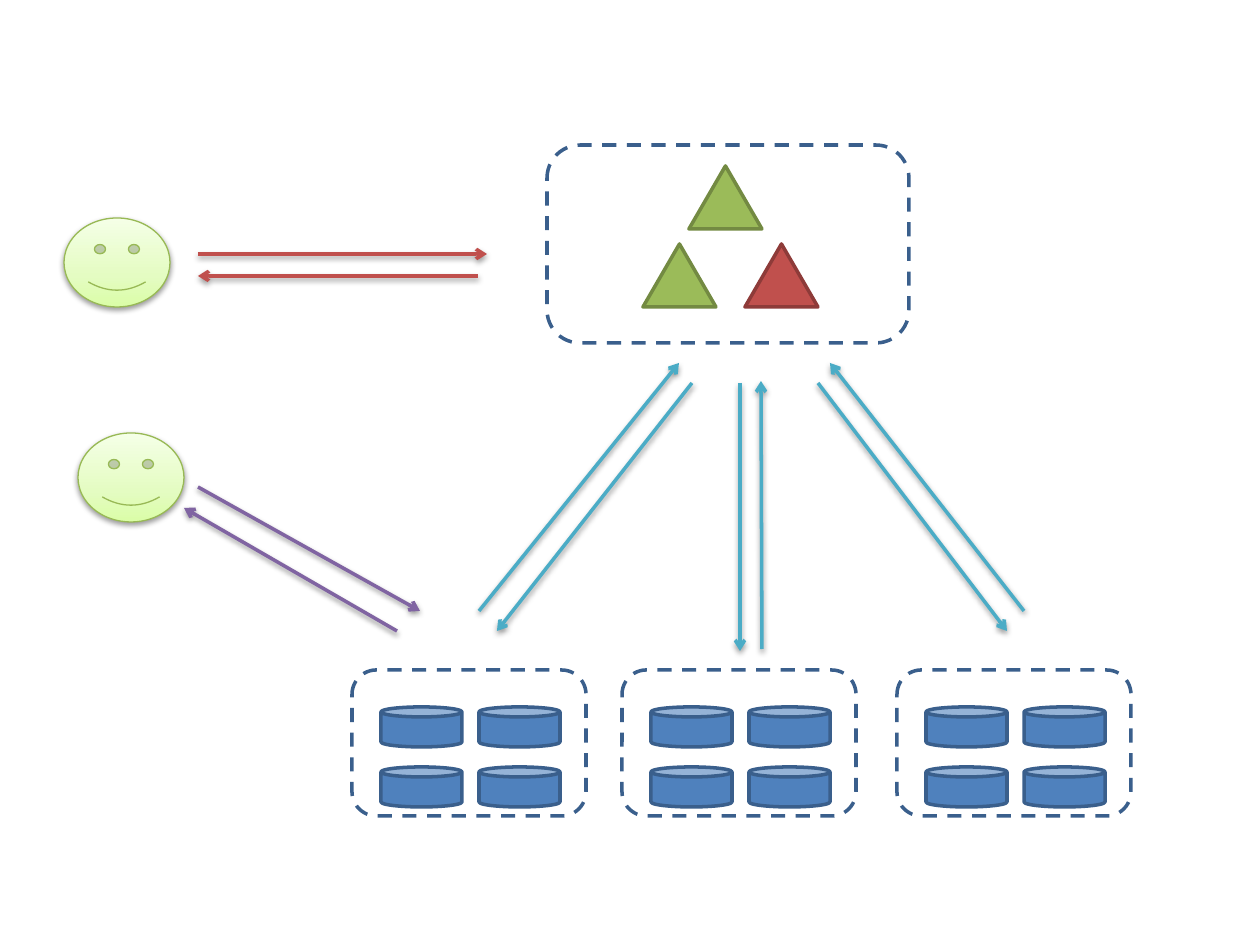
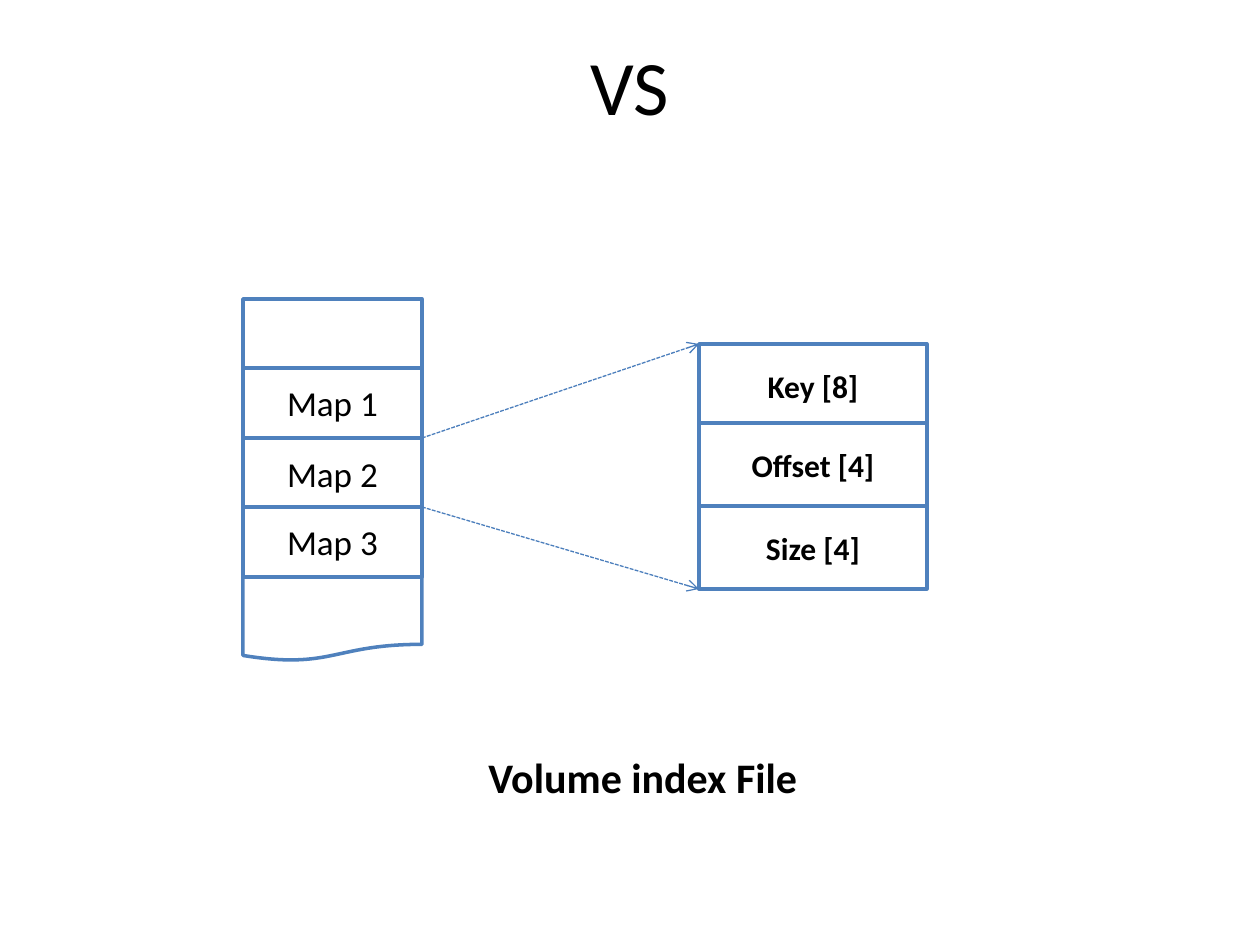
from copy import deepcopy

from lxml import etree
from pptx import Presentation
from pptx.dml.color import RGBColor
from pptx.enum.dml import MSO_LINE
from pptx.enum.shapes import MSO_CONNECTOR, MSO_SHAPE
from pptx.enum.text import MSO_ANCHOR, MSO_AUTO_SIZE, PP_ALIGN
from pptx.oxml.ns import qn
from pptx.util import Emu, Inches, Pt

SCALE = 914400 / 126

TRIANGLE = MSO_SHAPE.ISOSCELES_TRIANGLE
ROUNDED = MSO_SHAPE.ROUNDED_RECTANGLE
RECTANGLE = MSO_SHAPE.RECTANGLE
DOCUMENT = MSO_SHAPE.FLOWCHART_DOCUMENT
CAN = MSO_SHAPE.CAN
SMILEY = MSO_SHAPE.SMILEY_FACE
STRAIGHT = MSO_CONNECTOR.STRAIGHT
DASH = MSO_LINE.DASH
SHORT_DASH = MSO_LINE.SQUARE_DOT
MIDDLE = MSO_ANCHOR.MIDDLE
TOP = MSO_ANCHOR.TOP
CENTER = PP_ALIGN.CENTER
LEFT = PP_ALIGN.LEFT
GROW = MSO_AUTO_SIZE.SHAPE_TO_FIT_TEXT

COLORS = {
    "black": "000000",
    "white": "FFFFFF",
    "blue": "4F81BD",
    "dark blue": "3A5F8C",
    "link blue": "4B7EBC",
    "green": "9BBB59",
    "dark green": "738A42",
    "face green": "98B955",
    "red": "C0504D",
    "dark red": "8E3B39",
    "purple": "8064A2",
    "teal": "4BACC6",
    "face low": "DAFDA7",
    "face middle": "E4FCC2",
    "face high": "F5FFE7",
}
FACE_STOPS = [(0, "face low"), (0.35, "face middle"), (1, "face high")]

FONTS = {
    "title": {"name": "Calibri", "size": Pt(44), "bold": False},
    "caption": {"name": "Calibri", "size": Pt(24), "bold": True},
    "map": {"name": "Calibri", "size": Pt(20), "bold": False},
    "field": {"name": "Calibri", "size": Pt(18), "bold": True},
}


def px(length):
    """Turn pixels into EMU."""
    return Emu(round(length * SCALE))


def rgb(name):
    """Look up a named colour."""
    return RGBColor.from_string(COLORS[name])


class Deck:
    """Holds the presentation, the current slide and the drawing style."""

    def __init__(self):
        """Start an empty 10 by 7.5 inch presentation."""
        self.presentation = Presentation()
        self.presentation.slide_width = Inches(10)
        self.presentation.slide_height = Inches(7.5)
        self.slide = None

    def add_slide(self):
        """Add a blank slide and make it current."""
        self.slide = self.presentation.slides.add_slide(
            self.presentation.slide_layouts[6])

    def outline(self, shape, color, width=2, dash=None):
        """Set line colour, width and dash."""
        shape.line.color.rgb = rgb(color)
        for name, value in {"width": Pt(width), "dash_style": dash}.items():
            setattr(shape.line, name, value)

    def effects(self, shape, shadow):
        """Replace the theme effects by a soft shadow or by none."""
        effects = etree.SubElement(shape.element.spPr, qn("a:effectLst"))
        if shadow:
            outer = etree.SubElement(
                effects, qn("a:outerShdw"), blurRad="40000", dist="20000",
                dir="5400000", rotWithShape="0")
            color = etree.SubElement(outer, qn("a:srgbClr"), val=COLORS["black"])
            etree.SubElement(color, qn("a:alpha"), val="38000")

    def add_text(self, shape, text, style, align=CENTER, anchor=MIDDLE,
                 wrap=True):
        """Put one paragraph in a named text style into a shape."""
        frame = shape.text_frame
        frame.word_wrap = wrap
        frame.vertical_anchor = anchor
        paragraph = frame.paragraphs[0]
        paragraph.alignment = align
        run = paragraph.add_run()
        run.text = text
        run.font.color.rgb = rgb("black")
        for name, value in FONTS[style].items():
            setattr(run.font, name, value)

    def shape(self, kind, box, fill, line, width=2, dash=None, shadow=False):
        """Draw a preset shape; no fill colour leaves it open."""
        shape = self.slide.shapes.add_shape(kind, *map(px, box))
        if fill:
            shape.fill.solid()
            shape.fill.fore_color.rgb = rgb(fill)
        else:
            shape.fill.background()
        self.outline(shape, line, width, dash)
        self.effects(shape, shadow)
        return shape

    def face(self, left, top):
        """Draw a user as a shaded smiley."""
        face = self.shape(SMILEY, (left, top, 106, 89), None, "face green",
                          0.75, shadow=True)
        face.fill.gradient()
        face.fill.gradient_angle = 90
        stops = face.element.spPr.find(".//" + qn("a:gsLst"))
        stops.insert(1, deepcopy(stops[0]))
        for stop, (position, color) in zip(face.fill.gradient_stops, FACE_STOPS):
            stop.position = position
            stop.color.rgb = rgb(color)

    def arrow(self, start, end, color, width=2, dash=None, shadow=True):
        """Draw a straight arrow pointing at its end."""
        arrow = self.slide.shapes.add_connector(
            STRAIGHT, *map(px, (*start, *end)))
        self.outline(arrow, color, width, dash)
        line = arrow.element.spPr.find(qn("a:ln"))
        etree.SubElement(line, qn("a:tailEnd"), type="arrow")
        self.effects(arrow, shadow)

    def cell(self, box, text, style, kind=RECTANGLE):
        """Draw a white block of a record, with text if there is any."""
        cell = self.shape(kind, box, "white", "blue")
        if text:
            self.add_text(cell, text, style)

    def label(self, box, text, style, **layout):
        """Add a text box."""
        label = self.slide.shapes.add_textbox(*map(px, box))
        self.add_text(label, text, style, **layout)
        return label

    def cluster(self, left, top):
        """Draw a dashed group of two by two stores."""
        self.shape(ROUNDED, (left, top, 234, 146), None, "dark blue", dash=DASH)
        for row in range(2):
            for column in range(2):
                box = (left + 29 + 98 * column, top + 37 + 60 * row, 81, 40)
                self.shape(CAN, box, "blue", "dark blue")


def architecture_slide(deck):
    """Users, directory nodes and storage clusters."""
    deck.add_slide()
    for left, top, color in [(643, 244, "green"), (745, 244, "red"),
                             (689, 166, "green")]:
        deck.shape(TRIANGLE, (left, top, 73, 63), color, "dark " + color)
    deck.shape(ROUNDED, (547, 145, 362, 198), None, "dark blue", dash=DASH)
    for left in (352, 622, 897):
        deck.cluster(left, 670)
    deck.face(64, 218)
    deck.face(78, 433)
    arrows = {
        "red": [((198, 254), (487, 254)), ((478, 276), (198, 276))],
        "purple": [((198, 487), (420, 611)), ((397, 631), (184, 508))],
        "teal": [
            ((692, 383), (497, 631)), ((479, 611), (679, 363)),
            ((740, 383), (740, 651)), ((762, 649), (761, 381)),
            ((818, 383), (1007, 631)), ((1024, 611), (830, 363)),
        ],
    }
    for color, pairs in arrows.items():
        for start, end in pairs:
            deck.arrow(start, end, color)


def index_slide(deck):
    """The volume index file and the fields of one map."""
    deck.add_slide()
    deck.label((63, 6, 1134, 158), "VS", "title")
    caption = deck.label((476, 745, 338, 63), "Volume index File", "caption",
                         align=LEFT, anchor=TOP, wrap=False)
    caption.text_frame.auto_size = GROW

    tops = [299 + 139 * row // 2 for row in range(5)]
    for top, text in zip(tops, ("", "Map 1", "Map 2", "Map 3")):
        deck.cell((243, top, 179, 70), text, "map")
    deck.cell((243, tops[4], 179, 84), "", "map", DOCUMENT)

    fields = [(344, "Key [8]"), (423, "Offset [4]"), (506, "Size [4]")]
    for top, text in fields:
        deck.cell((699, top, 228, 83), text, "field")
    for start, end in [(tops[2], 344), (tops[3], 589)]:
        deck.arrow((422, start), (699, end), "link blue", 0.75, SHORT_DASH,
                   shadow=False)


def main():
    """Build and save the presentation."""
    deck = Deck()
    architecture_slide(deck)
    index_slide(deck)
    deck.presentation.save("out.pptx")


main()
